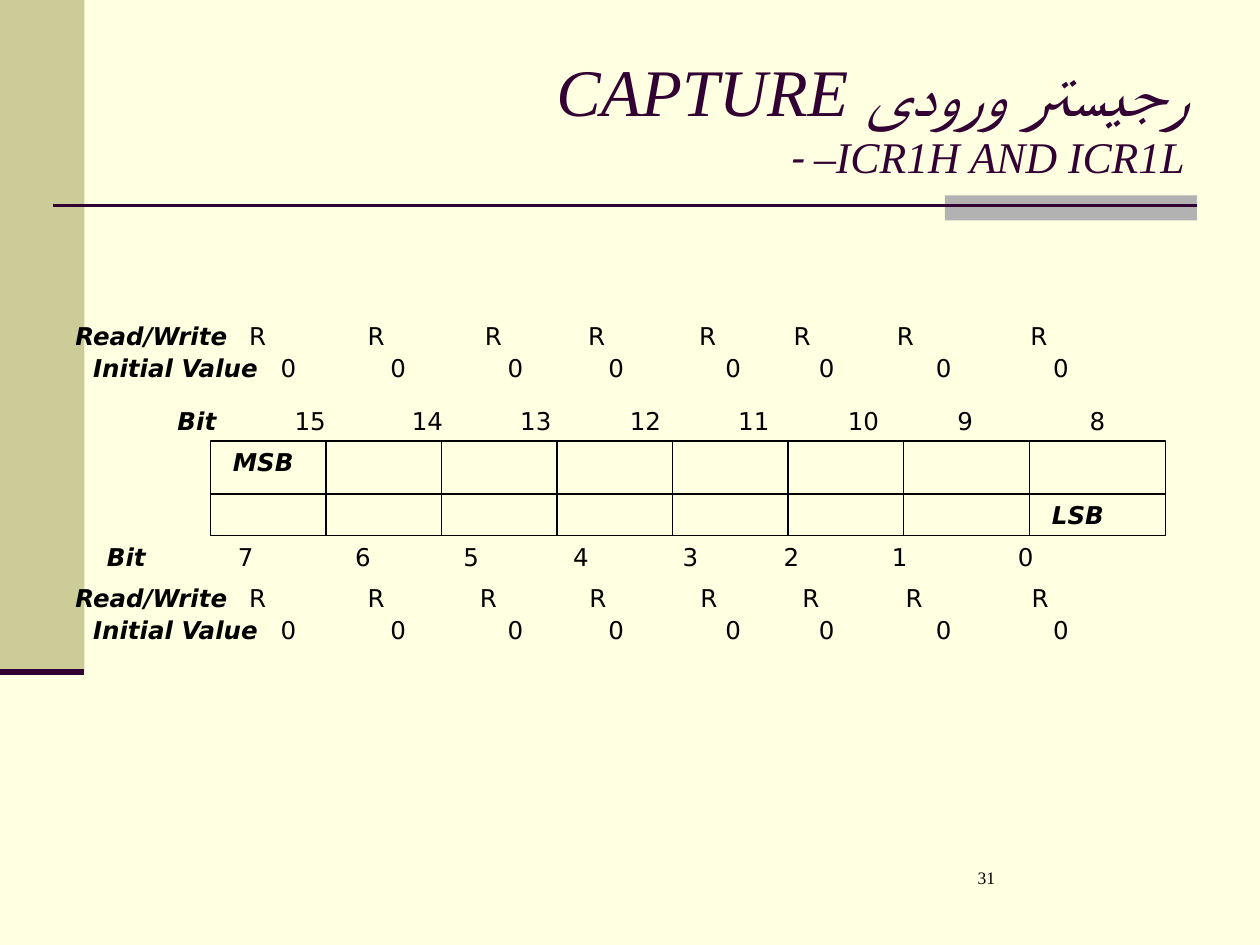
from dataclasses import dataclass

from lxml import etree
from pptx import Presentation
from pptx.dml.color import RGBColor
from pptx.enum.shapes import MSO_CONNECTOR, MSO_SHAPE
from pptx.enum.text import MSO_ANCHOR, PP_ALIGN
from pptx.oxml.ns import qn
from pptx.slide import Slide
from pptx.util import Inches, Pt

LINE = MSO_CONNECTOR.STRAIGHT
RECT = MSO_SHAPE.RECTANGLE
MIDDLE = MSO_ANCHOR.MIDDLE
LEFT, RIGHT = PP_ALIGN.LEFT, PP_ALIGN.RIGHT


def color(code):
    return RGBColor.from_string(code)


@dataclass
class Page:
    slide: Slide
    paper: str = "FFFFE1"
    plum: str = "330033"
    olive: str = "CCCC99"
    gray: str = "B2B2B2"
    ink: str = "000000"
    serif: str = "Times New Roman"
    sans: str = "DejaVu Sans"
    size: int = 14

    def fill(self):
        back = self.slide.background.fill
        back.solid()
        back.fore_color.rgb = color(self.paper)

    def rect(self, x, y, w, h, fill, edge=None):
        shape = self.slide.shapes.add_shape(
            RECT, Inches(x), Inches(y), Inches(w), Inches(h))
        shape.shadow.inherit = False
        shape.fill.solid()
        shape.fill.fore_color.rgb = color(fill)
        if edge:
            shape.line.color.rgb = color(edge)
            shape.line.width = Pt(0.75)
        else:
            shape.line.fill.background()

    def line(self, x1, y1, x2, y2, tint, width=0.75):
        line = self.slide.shapes.add_connector(
            LINE, Inches(x1), Inches(y1), Inches(x2), Inches(y2))
        line.line.color.rgb = color(tint)
        line.line.width = Pt(width)
        etree.SubElement(line._element.spPr, qn("a:effectLst"))

    def box(self, x, y, w, h):
        """Add an empty text box and return its frame."""
        frame = self.slide.shapes.add_textbox(
            Inches(x), Inches(y), Inches(w), Inches(h)).text_frame
        frame.word_wrap = True
        return frame

    def style(self, para, face, tint, size=None):
        para.font.name = face
        para.font.color.rgb = color(tint)
        if size:
            para.font.size = Pt(size)

    def title(self, x, y, w, h, lines):
        frame = self.box(x, y, w, h)
        frame.vertical_anchor = MIDDLE
        para = frame.paragraphs[0]
        para.alignment = RIGHT
        para._p.get_or_add_pPr().set("rtl", "1")
        self.style(para, self.serif, self.plum)
        para.font.italic = True
        for i, (text, size) in enumerate(lines):
            if i:
                para.add_line_break()
            run = para.add_run()
            run.text = text
            run.font.size = Pt(size)

    def label(self, x, y, w, text):
        para = self.box(x, y, w, 0.34).paragraphs[0]
        para.text = text
        self.style(para, self.sans, self.ink, self.size)
        para.font.bold = para.font.italic = True

    def row(self, x, y, w, name, start, values, stops):
        """Add a name and its values, each at a tab stop given from the slide's left."""
        para = self.box(x, y, w, 0.34).paragraphs[0]
        para.alignment = LEFT
        inner = x + 0.1
        shift = start > inner
        tabs = etree.SubElement(para._p.get_or_add_pPr(), qn("a:tabLst"))
        for stop in ([start] if shift else []) + stops:
            etree.SubElement(tabs, qn("a:tab"),
                             pos=str(Inches(stop - inner)), algn="l")
        self.style(para, self.sans, self.ink, self.size)
        head = para.add_run()
        head.text = "\t" + name if shift else name
        head.font.bold = head.font.italic = True
        para.add_run().text = "".join("\t" + str(v) for v in values)

    def number(self, x, y, w, h, text, indent):
        para = self.box(x, y, w, h).paragraphs[0]
        para.text = text
        para._p.get_or_add_pPr().set("marL", str(Inches(indent)))
        self.style(para, self.serif, self.ink, 10)


def main():
    deck = Presentation()
    deck.slide_width, deck.slide_height = Inches(10), Inches(7.5)
    page = Page(deck.slides.add_slide(deck.slide_layouts[6]))

    page.fill()
    page.rect(0, 0, 0.67, 5.33, page.olive)
    page.rect(7.5, 1.55, 2, 0.2, page.gray)
    page.line(0.42, 1.63, 9.5, 1.63, page.plum, 1.5)
    page.line(0, 5.33, 0.67, 5.33, page.plum, 3.5)
    page.title(1, 0.3, 8.5, 1.25,
               [("رجیستر ورودی CAPTURE", 38), (" –ICR1H AND ICR1L-", 25)])

    left, top, wide, high = 1.67, 3.5, 7.58, 0.75
    page.rect(left, top, wide, high, page.paper, page.ink)
    page.line(left, 3.92, left + wide, 3.92, page.ink)
    for x in [left + i * 5.5 / 6 for i in range(1, 7)] + [8.17]:
        page.line(x, top, x, top + high, page.ink)
    page.label(1.75, top, 0.83, "MSB")
    page.label(8.25, 3.92, 0.92, "LSB")

    page.row(0.83, 3.17, 8.58, "Bit", 1.41, range(15, 7, -1),
             [2.34, 3.27, 4.13, 5, 5.86, 6.73, 7.6, 8.65])
    page.row(0.75, 4.25, 8.75, "Bit", 0.85, range(7, -1, -1),
             [1.89, 2.82, 3.68, 4.55, 5.42, 6.22, 7.08, 8.08])
    access = {
        2.5: [1.98, 2.92, 3.85, 4.67, 5.55, 6.3, 7.12, 8.18],
        4.58: [1.98, 2.92, 3.81, 4.68, 5.56, 6.37, 7.19, 8.19],
    }
    for y, stops in access.items():
        page.row(0.5, y, 9.5, "Read/Write", 0.6, "R" * 8, stops)
    for y in (2.75, 4.83):
        page.row(0.5, y, 9.33, "Initial Value", 0.74, "0" * 8,
                 [2.23, 3.1, 4.03, 4.83, 5.76, 6.5, 7.43, 8.36])

    page.number(7.42, 6.83, 2.08, 0.5, "31", 0.24)
    deck.save("out.pptx")


if __name__ == "__main__":
    main()
